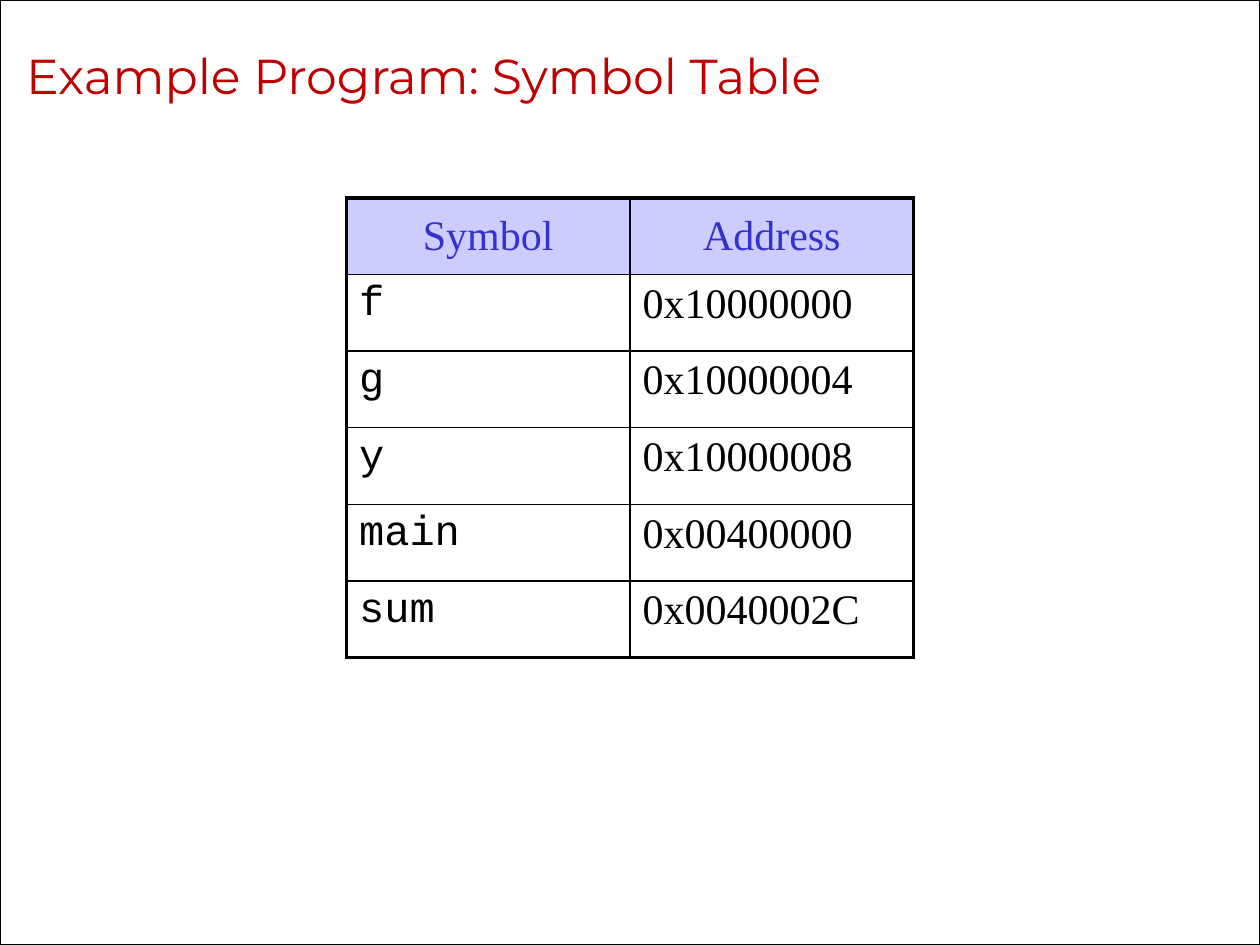
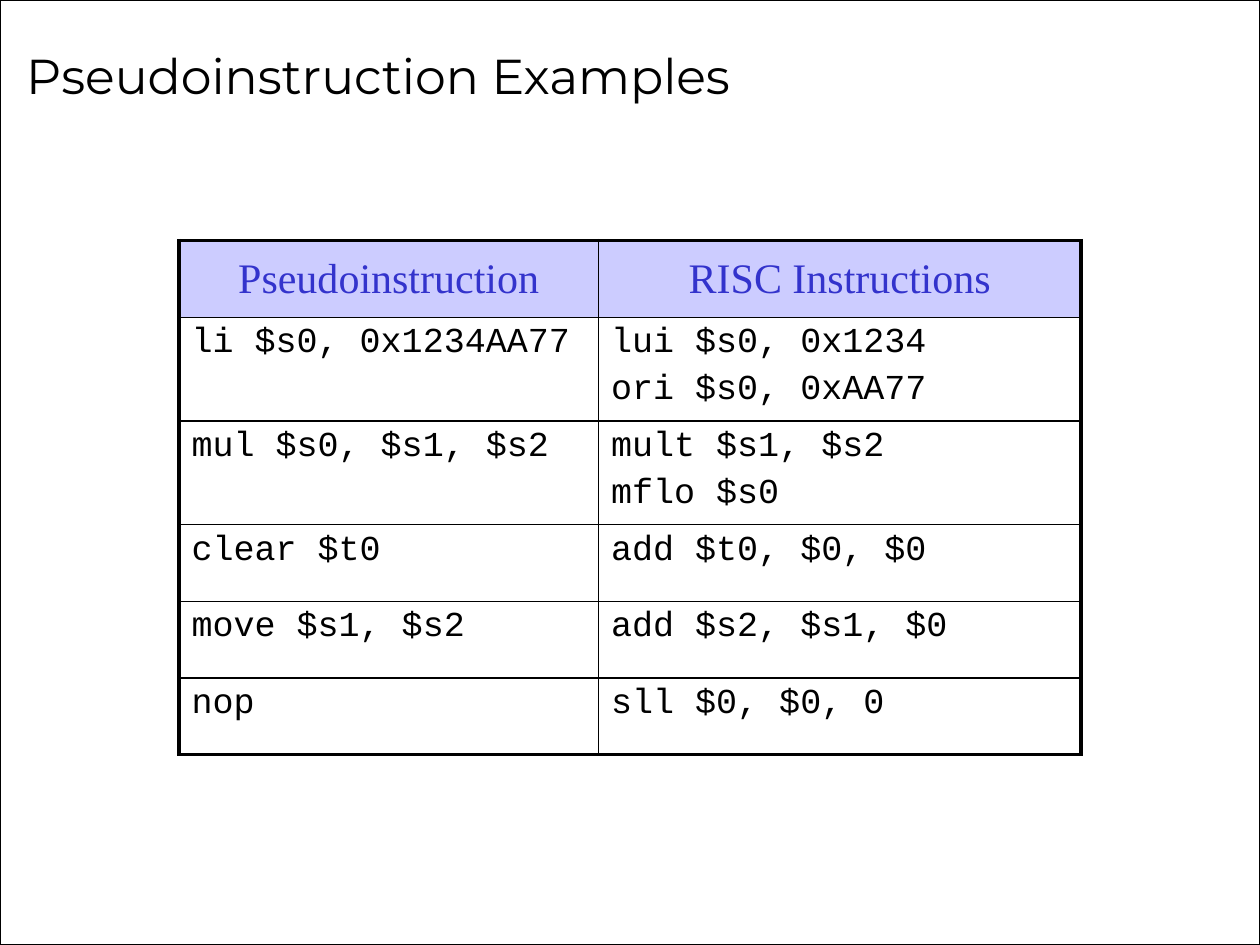
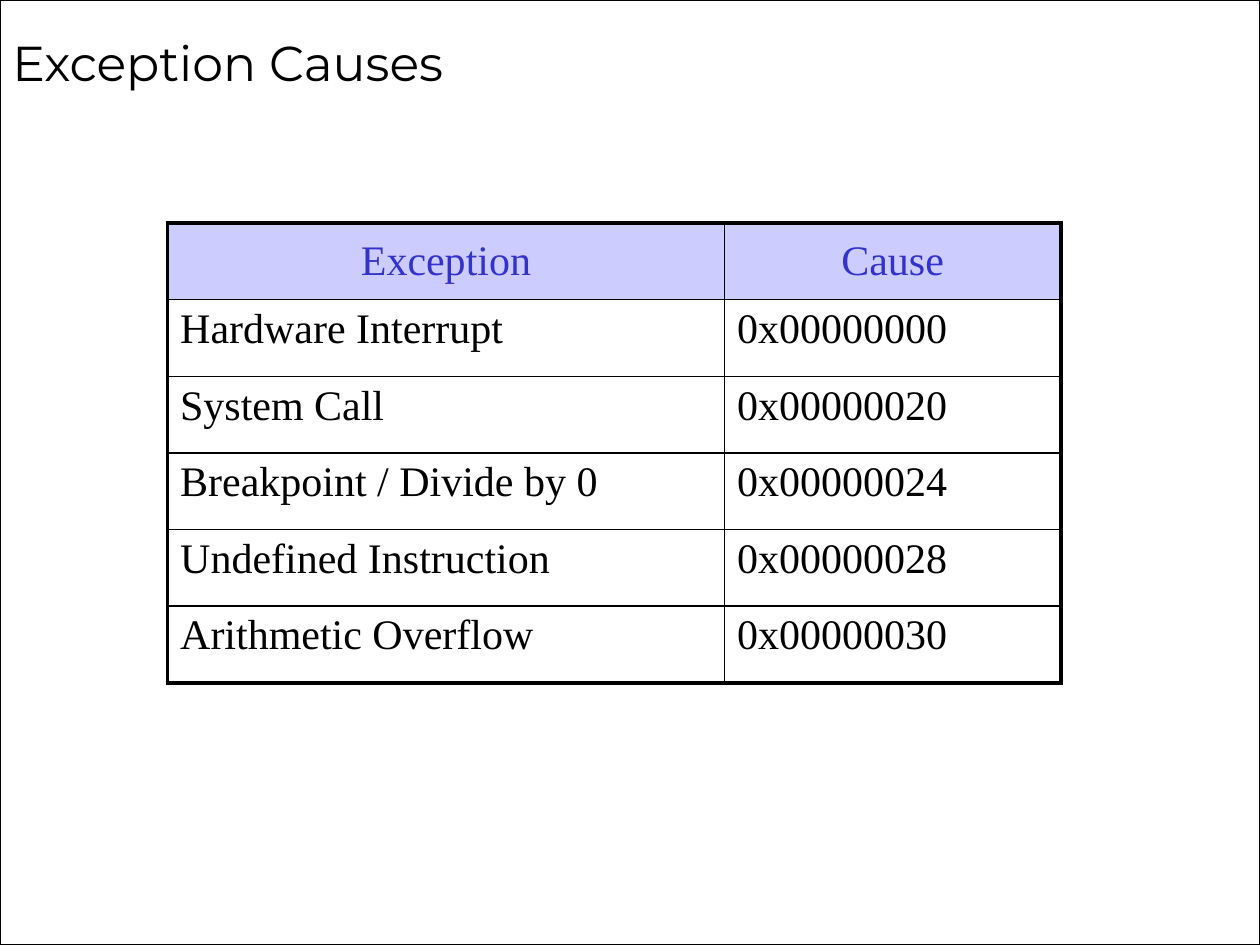
"""Build three RISC reference slides, each a title above a two-column table."""
import dataclasses

import lxml.etree
import pptx
import pptx.dml.color
import pptx.enum.shapes
import pptx.enum.text
import pptx.oxml.ns
import pptx.util

Inches = pptx.util.Inches
Pt = pptx.util.Pt
ALIGN = pptx.enum.text.PP_ALIGN
ANCHOR = pptx.enum.text.MSO_ANCHOR


@dataclasses.dataclass(frozen=True)
class Theme:
    black: str = "000000"
    accent: str = "C00000"
    header_text: str = "3333CC"
    header_fill: str = "CCCCFF"
    title_font: str = "Montserrat"
    serif: str = "Times New Roman"
    mono: str = "Courier New"
    title_size: float = 28
    table_size: float = 24
    code_size: float = 20
    frame_line: float = 0.75
    inner_line: float = 1
    outer_line: float = 2.25
    paragraph_gap: float = 0.2


def rgb(color):
    return pptx.dml.color.RGBColor.from_string(color)


def write_text(frame, text, *, font, size, color, align=ALIGN.LEFT,
               anchor=ANCHOR.TOP, gap=0):
    frame.word_wrap = True
    frame.vertical_anchor = anchor
    for index, line in enumerate(text.split("\n")):
        paragraph = frame.add_paragraph() if index else frame.paragraphs[0]
        paragraph.alignment = align
        paragraph.space_before = Pt(gap * size)
        run = paragraph.add_run()
        run.text = line
        run.font.name = font
        run.font.size = Pt(size)
        run.font.color.rgb = rgb(color)


class Deck:
    def __init__(self, theme):
        self.theme = theme
        self.presentation = pptx.Presentation()
        self.presentation.slide_width = Inches(10)
        self.presentation.slide_height = Inches(7.5)
        self.slide = None

    def add_slide(self):
        blank = self.presentation.slide_layouts[6]
        self.slide = self.presentation.slides.add_slide(blank)
        self.add_frame()

    def add_frame(self):
        shape = self.slide.shapes.add_shape(
            pptx.enum.shapes.MSO_SHAPE.RECTANGLE, 0, 0,
            self.presentation.slide_width, self.presentation.slide_height)
        shape.shadow.inherit = False
        shape.fill.background()
        shape.line.color.rgb = rgb(self.theme.black)
        shape.line.width = Pt(self.theme.frame_line)

    def add_title(self, text, color, box=(0.11, 0.11, 8.5, 0.97)):
        shape = self.slide.shapes.add_textbox(*map(Inches, box))
        write_text(shape.text_frame, text, font=self.theme.title_font,
                   size=self.theme.title_size, color=color, anchor=ANCHOR.MIDDLE)

    def add_table(self, left, top, widths, header, rows, fonts, size):
        theme = self.theme
        contents = [header, *rows]
        graphic = self.slide.shapes.add_table(
            len(contents), len(widths), Inches(left), Inches(top),
            Inches(sum(widths)), Inches(3.65))
        table = graphic.table
        table.first_row = table.horz_banding = False
        for column, width in zip(table.columns, widths):
            column.width = Inches(width)
        last_row, last_column = len(contents) - 1, len(widths) - 1
        for row, texts in enumerate(contents):
            for column, text in enumerate(texts):
                cell = table.cell(row, column)
                self.add_borders(cell, L=column == 0, R=column == last_column,
                                 T=row == 0, B=row == last_row)
                if row == 0:
                    cell.fill.solid()
                    cell.fill.fore_color.rgb = rgb(theme.header_fill)
                    cell.vertical_anchor = ANCHOR.MIDDLE
                    style = dict(font=theme.serif, size=theme.table_size,
                                 color=theme.header_text, align=ALIGN.CENTER)
                else:
                    cell.fill.background()
                    style = dict(font=fonts[column], size=size, color=theme.black)
                write_text(cell.text_frame, text, gap=theme.paragraph_gap, **style)

    def add_borders(self, cell, **outer_sides):
        qn = pptx.oxml.ns.qn
        properties = cell._tc.get_or_add_tcPr()
        for side, is_outer in outer_sides.items():
            width = self.theme.outer_line if is_outer else self.theme.inner_line
            line = lxml.etree.SubElement(properties, qn(f"a:ln{side}"), w=str(Pt(width)))
            fill = lxml.etree.SubElement(line, qn("a:solidFill"))
            lxml.etree.SubElement(fill, qn("a:srgbClr"), val=self.theme.black)


def add_symbol_table(deck):
    theme = deck.theme
    deck.add_slide()
    deck.add_title("Example Program: Symbol Table", theme.accent)
    deck.add_table(2.75, 1.57, (2.25, 2.25), ("Symbol", "Address"), [
        ("f", "0x10000000"),
        ("g", "0x10000004"),
        ("y", "0x10000008"),
        ("main", "0x00400000"),
        ("sum", "0x0040002C"),
    ], (theme.mono, theme.serif), theme.table_size)


def add_pseudoinstructions(deck):
    theme = deck.theme
    deck.add_slide()
    deck.add_title("Pseudoinstruction Examples", theme.black)
    deck.add_table(1.42, 1.91, (3.33, 3.83), ("Pseudoinstruction", "RISC Instructions"), [
        ("li $s0, 0x1234AA77", "lui $s0, 0x1234\nori $s0, 0xAA77"),
        ("mul $s0, $s1, $s2", "mult $s1, $s2\nmflo $s0"),
        ("clear $t0", "add $t0, $0, $0"),
        ("move $s1, $s2", "add $s2, $s1, $0"),
        ("nop", "sll $0, $0, 0"),
    ], (theme.mono, theme.mono), theme.code_size)


def add_exception_causes(deck):
    theme = deck.theme
    deck.add_slide()
    deck.add_title("Exception Causes", theme.black, box=(0, 0.08, 10, 0.83))
    deck.add_table(1.33, 1.77, (4.42, 2.67), ("Exception", "Cause"), [
        ("Hardware Interrupt", "0x00000000"),
        ("System Call", "0x00000020"),
        ("Breakpoint / Divide by 0", "0x00000024"),
        ("Undefined Instruction", "0x00000028"),
        ("Arithmetic Overflow", "0x00000030"),
    ], (theme.serif, theme.serif), theme.table_size)


def main():
    deck = Deck(Theme())
    add_symbol_table(deck)
    add_pseudoinstructions(deck)
    add_exception_causes(deck)
    deck.presentation.save("out.pptx")


if __name__ == "__main__":
    main()
